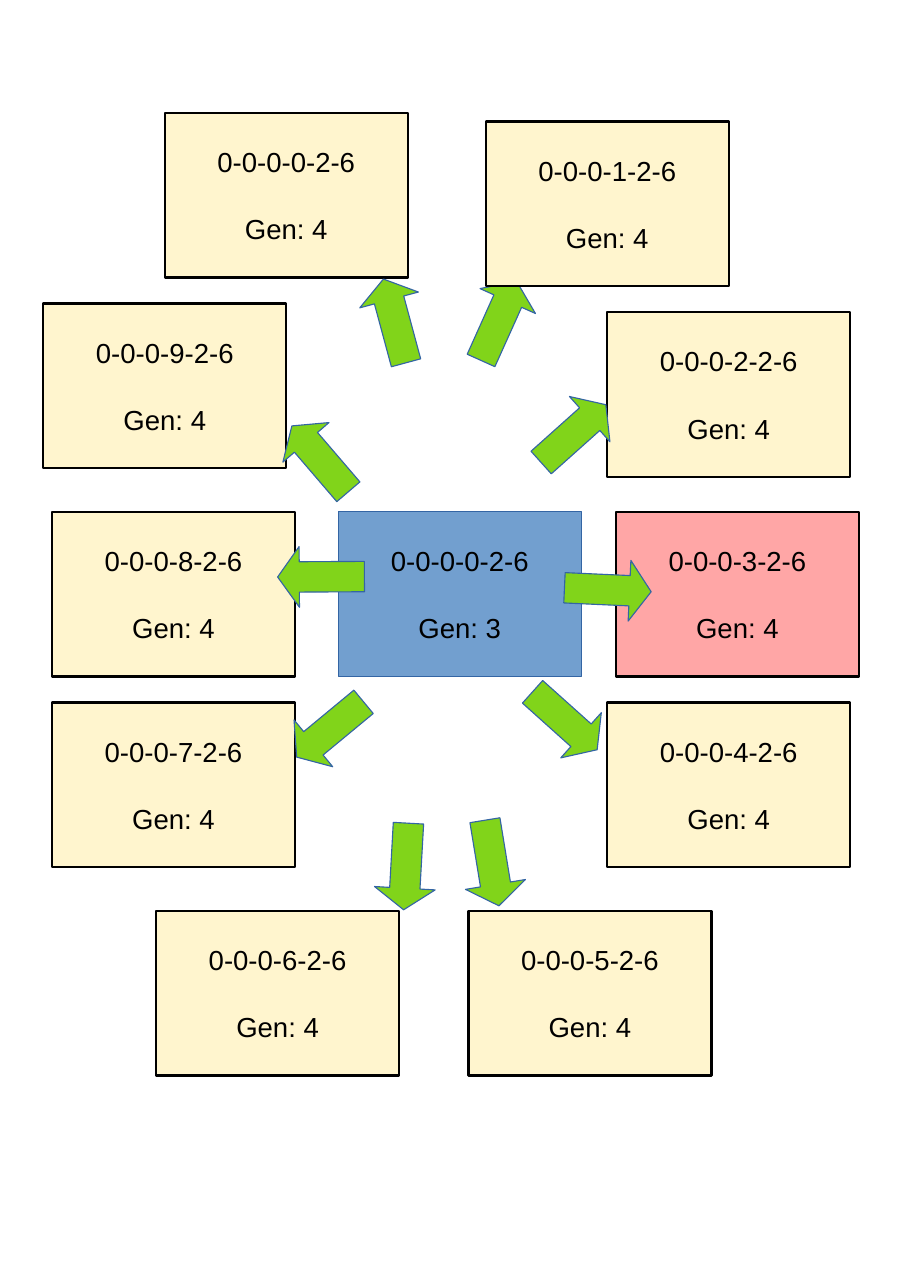
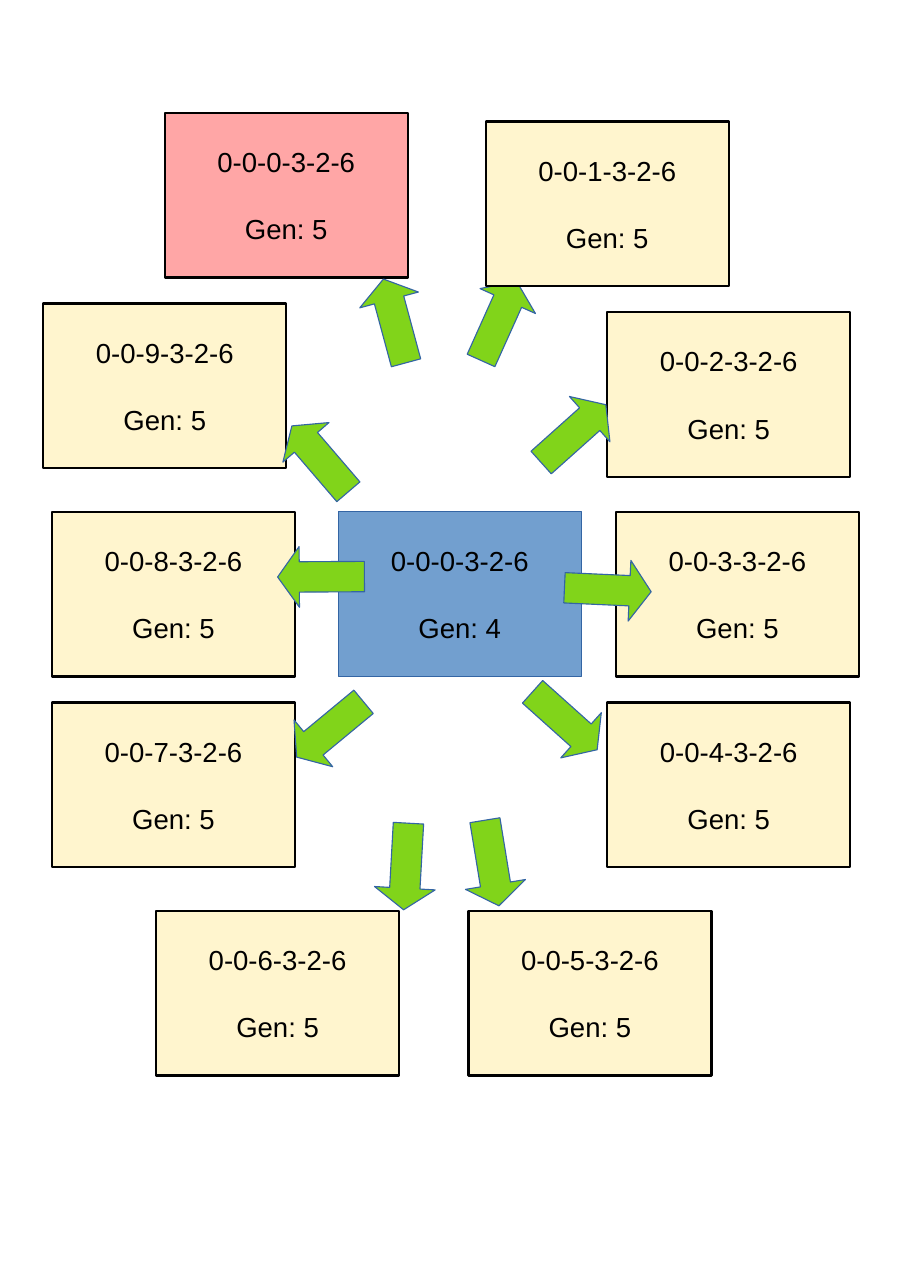
from dataclasses import dataclass

from pptx import Presentation
from pptx.dml.color import RGBColor
from pptx.enum.shapes import MSO_SHAPE
from pptx.enum.text import MSO_ANCHOR, PP_ALIGN
from pptx.util import Length, Mm, Pt

# Page grid: an A4 page in square cells of 2 mm
CELL_MM = 2
PAGE_COLUMNS, PAGE_ROWS = 105, 148.5
BOX_COLUMNS, BOX_ROWS = 28, 19
ARROW_COLUMNS, ARROW_ROWS = 7, 10
PARENT_COLUMN, PARENT_ROW = 39, 59

# Shared style
BLUE = RGBColor(0x72, 0x9F, 0xCF)
BLUE_EDGE = RGBColor(0x34, 0x65, 0xA4)
CREAM = RGBColor(0xFF, 0xF5, 0xCE)
PINK = RGBColor(0xFF, 0xA6, 0xA6)
GREEN = RGBColor(0x81, 0xD4, 0x1A)
BLACK = RGBColor(0x00, 0x00, 0x00)
FONT_NAME = "Arial"
HAIRLINE, BOX_LINE = Pt(0), Pt(1.5)


@dataclass(frozen=True)
class Branch:
    """A child box and the arrow to it, placed in grid cells."""
    column: float
    row: float
    arrow_column: float
    arrow_row: float
    rotation: float
    arrow_behind: bool = False


@dataclass(frozen=True)
class Generation:
    """One parent and its ten children; {} is the digit that varies."""
    parent_code: str
    number: int
    child_code: str
    highlighted: int


# Clockwise from the top left; the index is the child's digit
BRANCHES = (
    Branch(19, 13, 42, 32, 344.9),
    Branch(56, 14, 54, 32, 24.2, arrow_behind=True),
    Branch(70, 36, 62.6, 45, 48.2),
    Branch(71, 59, 66.55, 63, 92.6),
    Branch(70, 81, 61.6, 78.1, 131.9),
    Branch(54, 105, 53.2, 94.5, 170.7),
    Branch(18, 105, 43.3, 94.9, 183.2),
    Branch(6, 81, 34.55, 79.1, 230.4),
    Branch(6, 59, 33.5, 61.5, 269.7),
    Branch(5, 35, 33.4, 47.9, 319.4),
)

GENERATIONS = (
    Generation("0-0-0-0-2-6", 3, "0-0-0-{}-2-6", highlighted=3),
    Generation("0-0-0-3-2-6", 4, "0-0-{}-3-2-6", highlighted=0),
)


def cells(count: float) -> Length:
    return Mm(count * CELL_MM)


def add_figure(slide, kind, column: float, row: float, columns: float,
               rows: float, fill: RGBColor, edge: RGBColor, width: Length):
    figure = slide.shapes.add_shape(
        kind, cells(column), cells(row), cells(columns), cells(rows))
    figure.shadow.inherit = False
    figure.fill.solid()
    figure.fill.fore_color.rgb = fill
    figure.line.color.rgb = edge
    figure.line.width = width
    return figure


def write_lines(figure, lines: list[str], *, size: float = 18,
                color: RGBColor = BLACK, gap: float = 22.4) -> None:
    frame = figure.text_frame
    frame.word_wrap = False
    frame.vertical_anchor = MSO_ANCHOR.MIDDLE
    for index, line in enumerate(lines):
        paragraph = frame.add_paragraph() if index else frame.paragraphs[0]
        paragraph.alignment = PP_ALIGN.CENTER
        if index:
            paragraph.space_before = Pt(gap)
        run = paragraph.add_run()
        run.text = line
        run.font.name = FONT_NAME
        run.font.size = Pt(size)
        run.font.color.rgb = color


def add_box(slide, column: float, row: float, code: str, number: int,
            fill: RGBColor, edge: RGBColor = BLACK,
            width: Length = BOX_LINE) -> None:
    box = add_figure(slide, MSO_SHAPE.RECTANGLE, column, row,
                     BOX_COLUMNS, BOX_ROWS, fill, edge, width)
    write_lines(box, [code, f"Gen: {number}"])


def add_arrows(slide, behind: bool) -> None:
    for branch in BRANCHES:
        if branch.arrow_behind == behind:
            arrow = add_figure(
                slide, MSO_SHAPE.UP_ARROW, branch.arrow_column,
                branch.arrow_row, ARROW_COLUMNS, ARROW_ROWS,
                GREEN, BLUE_EDGE, HAIRLINE)
            arrow.adjustments[0] = 0.5
            arrow.adjustments[1] = 0.357
            arrow.rotation = branch.rotation


def add_generation(deck, generation: Generation) -> None:
    slide = deck.slides.add_slide(deck.slide_layouts[6])
    # Parent in the middle
    add_box(slide, PARENT_COLUMN, PARENT_ROW, generation.parent_code,
            generation.number, BLUE, BLUE_EDGE, HAIRLINE)
    # Ring of children between the two layers of arrows
    add_arrows(slide, behind=True)
    for digit, branch in enumerate(BRANCHES):
        add_box(slide, branch.column, branch.row,
                generation.child_code.format(digit), generation.number + 1,
                PINK if digit == generation.highlighted else CREAM)
    add_arrows(slide, behind=False)


def main() -> None:
    deck = Presentation()
    deck.slide_width = cells(PAGE_COLUMNS)
    deck.slide_height = cells(PAGE_ROWS)
    for generation in GENERATIONS:
        add_generation(deck, generation)
    deck.save("out.pptx")


if __name__ == "__main__":
    main()
